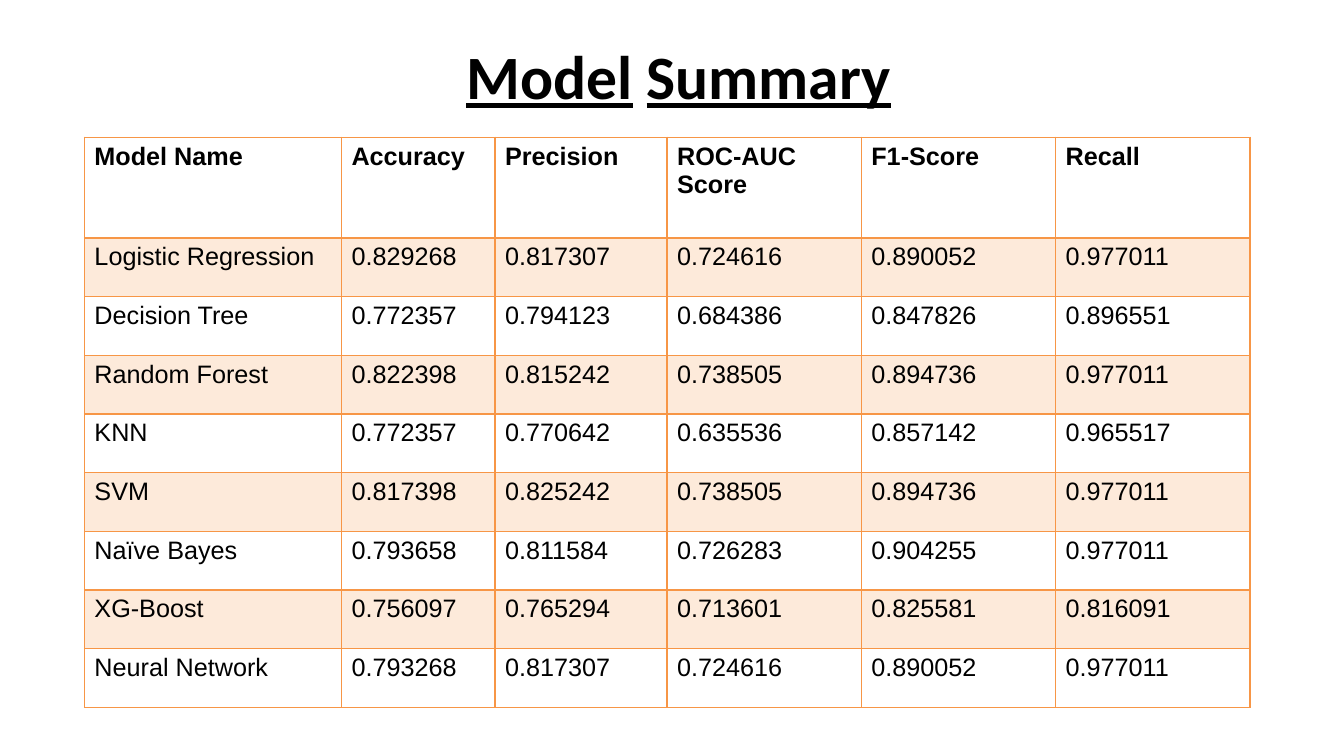
import pptx
import pptx.dml.color
import pptx.enum.text
import pptx.oxml
import pptx.oxml.ns
import pptx.util
from pptx.util import Pt

ORANGE = "F79646"
BLACK = "000000"
HEADERS = ["Model Name", "Accuracy", "Precision", "ROC-AUC Score", "F1-Score", "Recall"]
MODELS = [
    ("Logistic Regression", "0.829268", "0.817307", "0.724616", "0.890052", "0.977011"),
    ("Decision Tree", "0.772357", "0.794123", "0.684386", "0.847826", "0.896551"),
    ("Random Forest", "0.822398", "0.815242", "0.738505", "0.894736", "0.977011"),
    ("KNN", "0.772357", "0.770642", "0.635536", "0.857142", "0.965517"),
    ("SVM", "0.817398", "0.825242", "0.738505", "0.894736", "0.977011"),
    ("Naïve Bayes", "0.793658", "0.811584", "0.726283", "0.904255", "0.977011"),
    ("XG-Boost", "0.756097", "0.765294", "0.713601", "0.825581", "0.816091"),
    ("Neural Network", "0.793268", "0.817307", "0.724616", "0.890052", "0.977011"),
]
COLUMN_WIDTHS = [183.6, 109.7, 122.9, 138.8, 138.8, 138.8]
HEADER_HEIGHT = 72
ROW_HEIGHT = 41.9


def color(hex_code):
    return pptx.dml.color.RGBColor.from_string(hex_code)


def add_run(paragraph, text, font_name, size, bold=False, underline=False):
    run = paragraph.add_run()
    run.text = text
    run.font.name = font_name
    run.font.size = Pt(size)
    run.font.bold = bold
    run.font.underline = underline
    run.font.color.rgb = color(BLACK)


def add_border(cell, side, width):
    """Draw one side of a cell: L, R, T or B. Call before the fill is set."""
    cell._tc.get_or_add_tcPr().append(pptx.oxml.parse_xml(
        f'<a:ln{side} {pptx.oxml.ns.nsdecls("a")} w="{Pt(width)}">'
        f'<a:solidFill><a:srgbClr val="{ORANGE}"/></a:solidFill></a:ln{side}>'))


def fill_cell(cell, shaded):
    if not shaded:
        cell.fill.background()
        return
    cell.fill.solid()
    cell.fill.fore_color.rgb = color(ORANGE)
    fill_color = cell._tc.tcPr.find(
        "/".join(pptx.oxml.ns.qn(tag) for tag in ("a:solidFill", "a:srgbClr")))
    fill_color.append(pptx.oxml.parse_xml(
        f'<a:alpha {pptx.oxml.ns.nsdecls("a")} val="20000"/>'))


def add_title(slide, left, top, width, height):
    frame = slide.shapes.add_textbox(Pt(left), Pt(top), Pt(width), Pt(height)).text_frame
    frame.word_wrap = True
    frame.vertical_anchor = pptx.enum.text.MSO_ANCHOR.MIDDLE
    paragraph = frame.paragraphs[0]
    paragraph.alignment = pptx.enum.text.PP_ALIGN.CENTER
    for text in ("Model", " ", "Summary"):
        add_run(paragraph, text, "Calibri", 44, bold=True, underline=text != " ")


def add_score_table(slide, left, top):
    rows = [HEADERS, *MODELS]
    height = HEADER_HEIGHT + ROW_HEIGHT * len(MODELS)
    table = slide.shapes.add_table(
        len(rows), len(HEADERS), Pt(left), Pt(top),
        Pt(sum(COLUMN_WIDTHS)), Pt(height)).table
    table.horz_banding = False
    for column, width in zip(table.columns, COLUMN_WIDTHS):
        column.width = Pt(width)
    for row_index, values in enumerate(rows):
        is_header = row_index == 0
        table.rows[row_index].height = Pt(HEADER_HEIGHT if is_header else ROW_HEIGHT)
        for column_index, text in enumerate(values):
            cell = table.cell(row_index, column_index)
            add_run(cell.text_frame.paragraphs[0], text, "Arial", 18, bold=is_header)
            for side in "LRTB":
                below_header = (row_index, side) in ((0, "B"), (1, "T"))
                add_border(cell, side, 2 if below_header else 1)
            fill_cell(cell, shaded=row_index % 2 == 1)


def main():
    presentation = pptx.Presentation()
    presentation.slide_width = Pt(960)
    presentation.slide_height = Pt(540)
    slide = presentation.slides.add_slide(presentation.slide_layouts[6])
    add_title(slide, 77, 16.6, 815.8, 73.4)
    add_score_table(slide, 60.3, 98)
    presentation.save("out.pptx")


if __name__ == "__main__":
    main()
